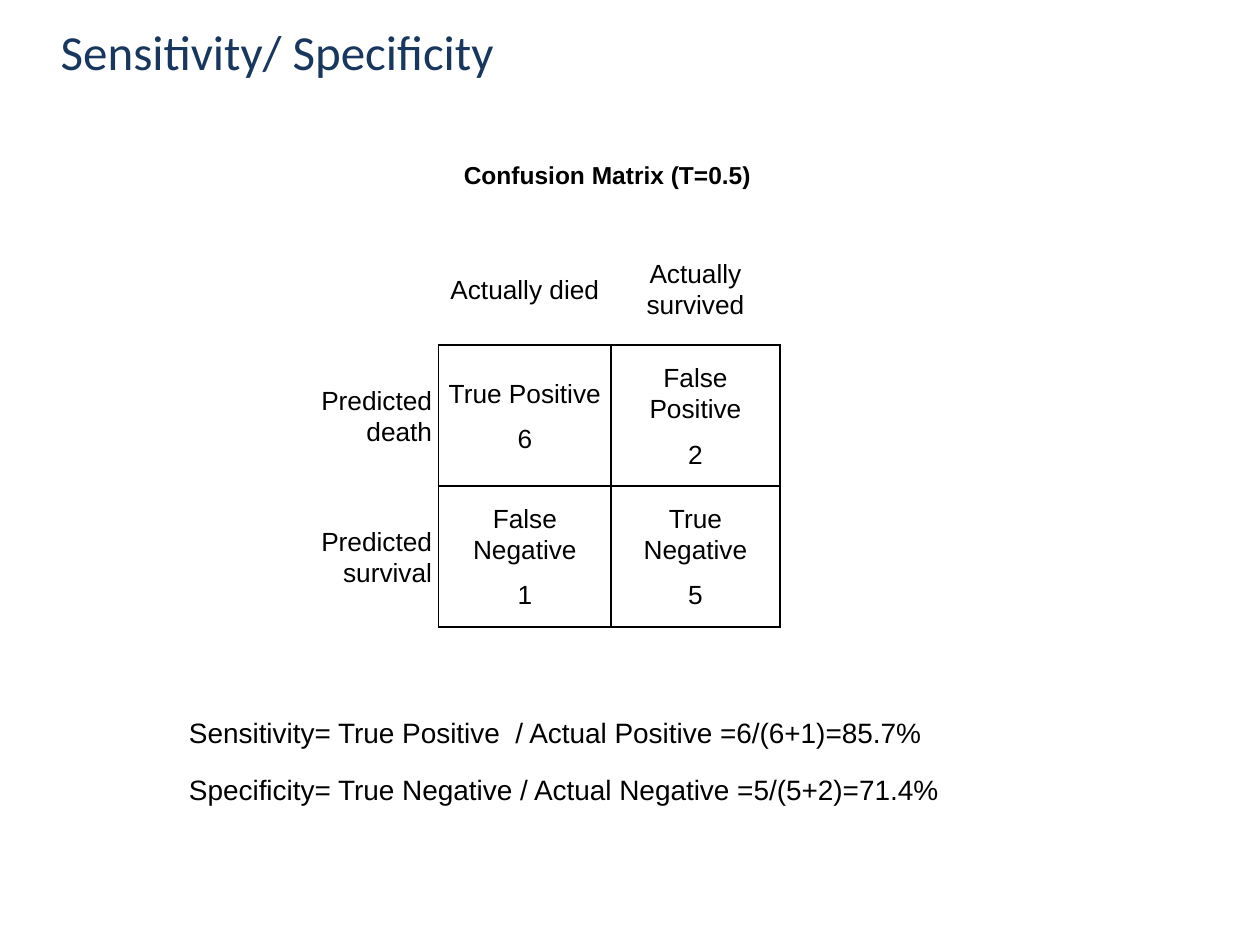
from lxml import etree
from pptx import Presentation
from pptx import util as u
from pptx.dml.color import RGBColor
from pptx.enum import text
from pptx.oxml.ns import qn

COLOURS = {"title": "17375E", "ink": "000000"}
TITLE = "Sensitivity/ Specificity"
HEADING = "Confusion Matrix (T=0.5)"
FORMULAS = [
    "Sensitivity= True Positive  / Actual Positive =6/(6+1)=85.7%",
    "Specificity= True Negative / Actual Negative =5/(5+2)=71.4%",
]
MATRIX = [
    [[], ["Actually died"], ["Actually survived"]],
    [["Predicted death"], ["True Positive", "6"], ["False Positive", "2"]],
    [["Predicted survival"], ["False Negative", "1"], ["True Negative", "5"]],
]
COLUMN_WIDTHS = [3.15, 3.48, 3.4]
ROW_HEIGHTS = [2.26, 2.84, 2.84]
SIDES = {"lnL": (0, -1), "lnR": (0, 1), "lnT": (-1, 0), "lnB": (1, 0)}


def write(frame, lines, size, font="Arial", colour="ink", bold=False,
          align=text.PP_ALIGN.LEFT, spacing=None, after=None):
    for index, line in enumerate(lines):
        para = frame.add_paragraph() if index else frame.paragraphs[0]
        para.alignment = align
        para.line_spacing = spacing
        para.space_after = after
        span = para.add_run()
        span.text = line
        span.font.size = u.Pt(size)
        span.font.name = font
        span.font.bold = bold
        span.font.color.rgb = RGBColor.from_string(COLOURS[colour])


def add_text(page, line, left, top, width, height, wrap=True, **style):
    box = page.shapes.add_textbox(u.Cm(left), u.Cm(top), u.Cm(width), u.Cm(height))
    box.text_frame.word_wrap = wrap
    write(box.text_frame, [line], **style)


def is_value(row, column):
    return row in (1, 2) and column in (1, 2)


def set_borders(cell, row, column):
    """Rule every side that touches a value cell and leave the others bare."""
    properties = cell._tc.get_or_add_tcPr()
    for tag, (down, across) in SIDES.items():
        line = etree.SubElement(properties, qn("a:" + tag), w=str(u.Pt(1)))
        if is_value(row, column) or is_value(row + down, column + across):
            fill = etree.SubElement(line, qn("a:solidFill"))
            etree.SubElement(fill, qn("a:srgbClr"), val=COLOURS["ink"])
        else:
            etree.SubElement(line, qn("a:noFill"))


def add_matrix(page, left, top):
    frame = page.shapes.add_table(
        len(MATRIX), len(MATRIX[0]), u.Cm(left), u.Cm(top),
        u.Cm(sum(COLUMN_WIDTHS)), u.Cm(sum(ROW_HEIGHTS)))
    table = frame.table
    table.first_row = table.horz_banding = False
    for column, width in zip(table.columns, COLUMN_WIDTHS):
        column.width = u.Cm(width)
    for row, height in zip(table.rows, ROW_HEIGHTS):
        row.height = u.Cm(height)
    for r, entries in enumerate(MATRIX):
        for c, lines in enumerate(entries):
            cell = table.cell(r, c)
            set_borders(cell, r, c)
            cell.fill.background()
            cell.vertical_anchor = text.MSO_ANCHOR.MIDDLE
            cell.margin_left = cell.margin_right = u.Cm(0.13)
            cell.margin_top = cell.margin_bottom = 0
            align = text.PP_ALIGN.CENTER if c else text.PP_ALIGN.RIGHT
            write(cell.text_frame, lines, size=15, align=align,
                  spacing=1.07, after=u.Pt(8))


def main():
    deck = Presentation()
    deck.slide_width, deck.slide_height = u.Cm(25.4), u.Cm(19.05)
    page = deck.slides.add_slide(deck.slide_layouts[5])

    title = page.shapes.title
    title.left, title.top = u.Cm(0.97), u.Cm(0.13)
    title.width, title.height = u.Cm(20.83), u.Cm(1.8)
    title.text_frame.vertical_anchor = text.MSO_ANCHOR.MIDDLE
    write(title.text_frame, [TITLE], size=28, font="Calibri", colour="title")

    add_text(page, HEADING, 9.1, 3.1, 6.45, 0.86, wrap=False, size=14, bold=True)
    for index, formula in enumerate(FORMULAS):
        add_text(page, formula, 3.56, 14.3 + 1.14 * index, 17.96, 0.94, size=16)
    add_matrix(page, 5.69, 4.7)
    deck.save("out.pptx")


if __name__ == "__main__":
    main()
